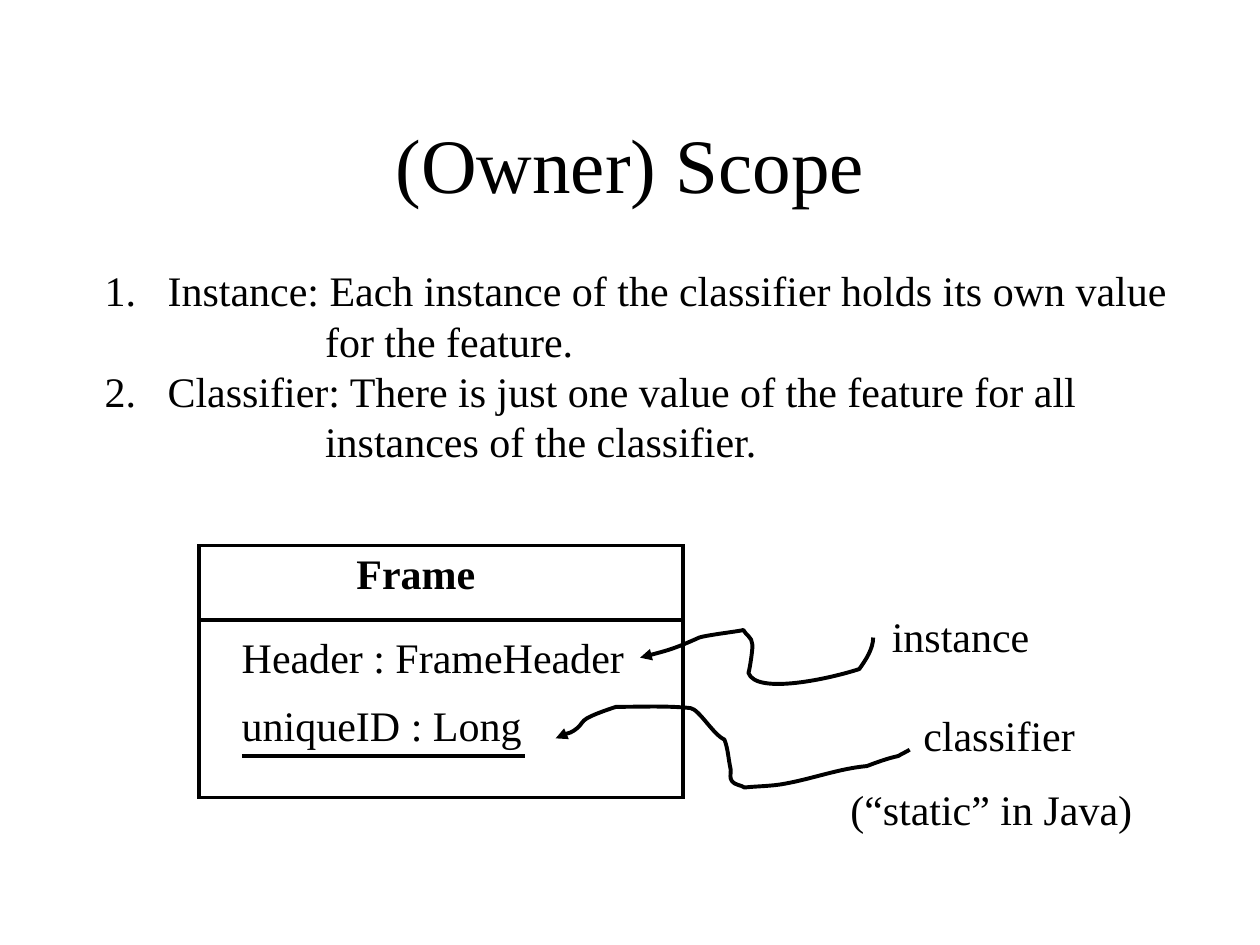
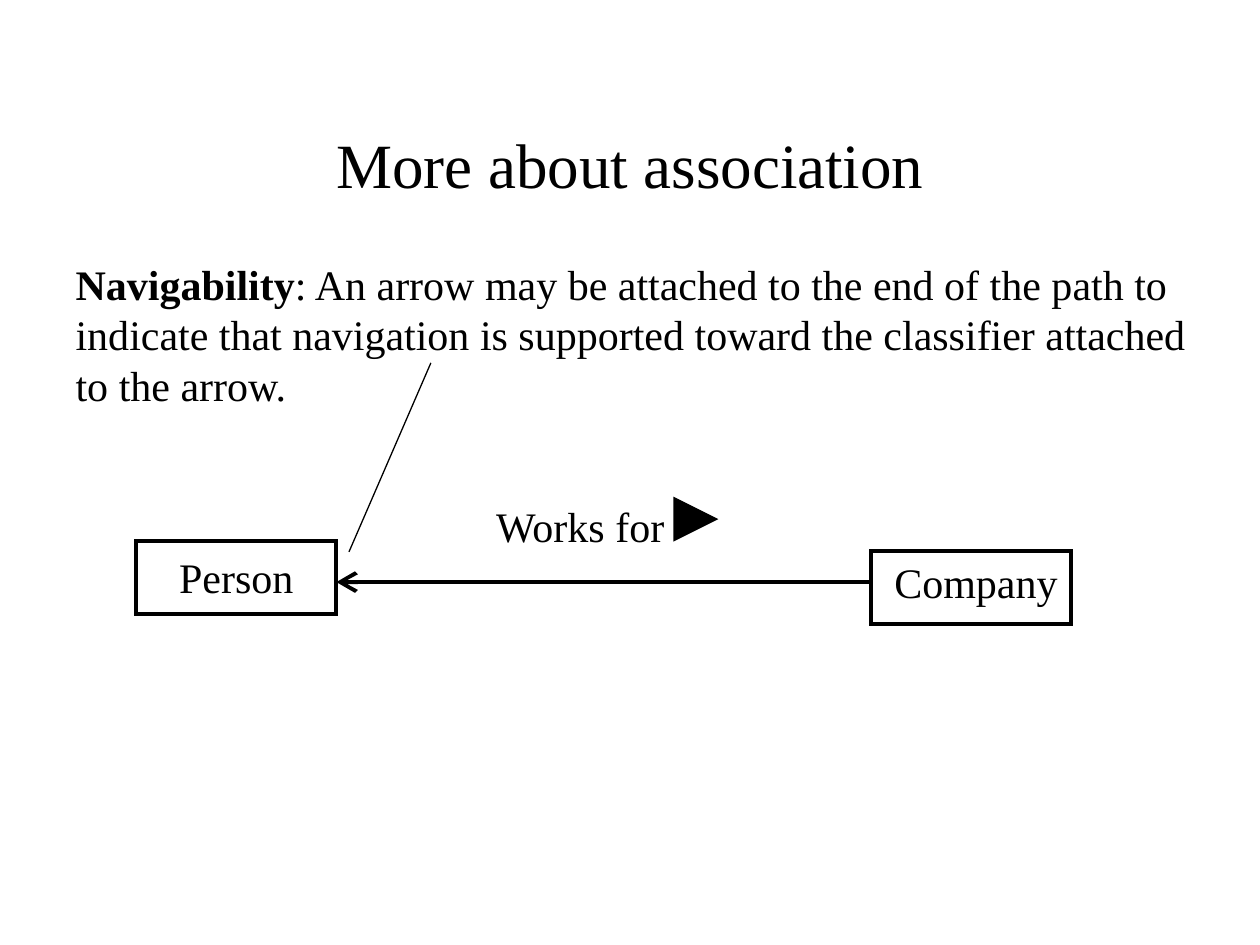
from dataclasses import dataclass
from typing import NamedTuple

from lxml import etree
from pptx import Presentation
from pptx.dml.color import RGBColor
from pptx.enum.shapes import MSO_CONNECTOR, MSO_SHAPE
from pptx.enum.text import MSO_ANCHOR, MSO_AUTO_SIZE, PP_ALIGN
from pptx.oxml.ns import qn
from pptx.util import Pt

PX = 9144  # EMU in one px: 100 px to the inch
BLACK = RGBColor(0, 0, 0)
FONT = "Times New Roman"
SIZE = 24
THICK, THIN = 2.25, 0.75

RECT = MSO_SHAPE.RECTANGLE
WEDGE = MSO_SHAPE.FLOWCHART_EXTRACT
LINE = MSO_CONNECTOR.STRAIGHT
LEFT, CENTER = PP_ALIGN.LEFT, PP_ALIGN.CENTER
TOP, MIDDLE = MSO_ANCHOR.TOP, MSO_ANCHOR.MIDDLE
GROW, FIXED = MSO_AUTO_SIZE.SHAPE_TO_FIT_TEXT, MSO_AUTO_SIZE.NONE

Point = tuple[int, int]


class Box(NamedTuple):
    x: int
    y: int
    w: int
    h: int

    def emu(self) -> list[int]:
        return [n * PX for n in self]


@dataclass
class Item:
    text: str
    lead: str = ""
    left: int = 0
    hang: int = 0
    num: int = 0


@dataclass
class Label:
    text: str
    box: Box
    bold: bool = False


@dataclass
class Rule:
    start: Point
    end: Point
    width: float = THICK
    head: str = ""


@dataclass
class Curve:
    """A chain of cubic pieces: a start, then two controls and an end each."""
    points: list[Point]


TITLE = Box(75, 67, 850, 125)

SCOPES = [
    Item("Instance: Each instance of the classifier holds its own value",
         left=50, hang=-50, num=1),
    Item("for the feature.", left=175),
    Item("Classifier: There is just one value of the feature for all",
         left=50, hang=-50, num=2),
    Item("instances of the classifier.", left=175),
]
FRAME = Box(158, 433, 384, 200)
FRAME_RULES = [Rule((158, 492), (542, 492)), Rule((192, 600), (417, 600))]
FRAME_TEXT = [
    Label("Frame", Box(273, 430, 118, 50), bold=True),
    Label("Header : FrameHeader", Box(182, 496, 327, 50)),
    Label("uniqueID : Long", Box(182, 550, 246, 50)),
    Label("instance", Box(698, 480, 133, 50)),
    Label("classifier", Box(723, 558, 144, 50)),
    Label("(“static” in Java)", Box(665, 617, 248, 50)),
]
POINTERS = [
    Curve([(508, 522), (527, 517), (535, 515), (555, 506),
           (561, 504), (587, 501), (590, 500),
           (592, 504), (597, 506), (597, 511),
           (598, 512), (595, 532), (594, 534),
           (600, 552), (661, 538), (682, 531),
           (687, 524), (693, 515), (693, 506)]),
    Curve([(441, 586), (446, 583), (453, 582), (458, 578),
           (461, 576), (462, 572), (466, 570),
           (473, 566), (489, 561), (489, 561),
           (509, 561), (529, 560), (548, 562),
           (555, 563), (566, 583), (575, 587),
           (578, 595), (578, 602), (580, 611),
           (580, 614), (579, 618), (581, 620),
           (583, 623), (588, 623), (591, 625),
           (600, 624), (613, 624), (623, 622),
           (645, 618), (666, 610), (688, 608),
           (696, 605), (704, 602), (713, 600),
           (716, 598), (719, 597), (722, 595)]),
]

NAVIGATION = [
    Item(": An arrow may be attached to the end of the path to",
         lead="Navigability"),
    Item("indicate that navigation is supported toward the classifier attached"),
    Item("to the arrow."),
]
PERSON = Box(108, 429, 159, 58)
COMPANY = Box(691, 437, 159, 58)
LINK_TEXT = [
    Label("Company", Box(700, 437, 153, 50)),
    Label("Works for", Box(384, 392, 160, 50)),
]
LINK_RULES = [
    Rule((267, 462), (542, 462), head="arrow"),
    Rule((542, 462), (692, 462)),
    Rule((342, 288), (277, 438), THIN),
]
READ_MARK = Box(535, 395, 34, 34)


def write(para, text, *, size=SIZE, bold=False, align=LEFT):
    para.alignment = align
    para.space_before = para.space_after = Pt(0)
    para.line_spacing = 1.0
    run = para.add_run()
    run.text = text
    font = run.font
    font.name, font.size, font.bold = FONT, Pt(size), bold
    font.color.rgb = BLACK


def set_frame(frame, *, anchor=TOP, wrap=False, fit=GROW):
    frame.word_wrap = wrap
    frame.auto_size = fit
    frame.vertical_anchor = anchor


def place(shape, box: Box):
    shape.left, shape.top, shape.width, shape.height = box.emu()


def set_line(line, width: float, head: str = "", size: str = "med",
             sharp: bool = False):
    line.color.rgb = BLACK
    line.width = Pt(width)
    node = line._get_or_add_ln()
    if sharp:
        etree.SubElement(node, qn("a:miter")).set("lim", "800000")
    if head:
        etree.SubElement(node, qn("a:headEnd"), type=head, w=size, len=size)


def add_slide(deck, title: str, size: int, items: list[Item], box: Box):
    slide = deck.slides.add_slide(deck.slide_layouts[1])
    head, body = slide.placeholders
    place(head, TITLE)
    set_frame(head.text_frame, anchor=MIDDLE, wrap=True, fit=FIXED)
    write(head.text_frame.paragraphs[0], title, size=size, align=CENTER)
    place(body, box)
    frame = body.text_frame
    set_frame(frame)
    for i, item in enumerate(items):
        para = frame.add_paragraph() if i else frame.paragraphs[0]
        if item.lead:
            write(para, item.lead, bold=True)
        write(para, item.text)
        set_list(para, item)
    return slide


def set_list(para, item: Item):
    props = para._p.get_or_add_pPr()
    props.set("marL", str(item.left * PX))
    props.set("indent", str(item.hang * PX))
    if item.num:
        mark = etree.SubElement(props, qn("a:buAutoNum"))
        mark.set("type", "arabicPeriod")
        if item.num > 1:
            mark.set("startAt", str(item.num))
    else:
        etree.SubElement(props, qn("a:buNone"))


def add_label(slide, label: Label):
    frame = slide.shapes.add_textbox(*label.box.emu()).text_frame
    set_frame(frame)
    write(frame.paragraphs[0], label.text, bold=label.bold)


def add_box(slide, box: Box, kind=RECT, width: float = THICK,
            solid: bool = False):
    shape = slide.shapes.add_shape(kind, *box.emu())
    shape.shadow.inherit = False
    if solid:
        shape.fill.solid()
        shape.fill.fore_color.rgb = BLACK
    else:
        shape.fill.background()
    set_line(shape.line, width, sharp=True)
    return shape


def add_rule(slide, rule: Rule):
    ends = [n * PX for n in rule.start + rule.end]
    link = slide.shapes.add_connector(LINE, *ends)
    set_line(link.line, rule.width, rule.head, "lg")
    etree.SubElement(link._element.spPr, qn("a:effectLst"))


def bend(shape):
    """Join each three straight segments into one cubic piece."""
    legs = list(shape._element.iter(qn("a:lnTo")))
    for i in range(0, len(legs), 3):
        piece = etree.Element(qn("a:cubicBezTo"))
        legs[i].addprevious(piece)
        for leg in legs[i:i + 3]:
            piece.append(leg[0])
            leg.getparent().remove(leg)


def add_curve(slide, curve: Curve):
    start, *rest = curve.points
    pen = slide.shapes.build_freeform(*start, scale=PX)
    pen.add_line_segments(rest, close=False)
    shape = pen.convert_to_shape()
    bend(shape)
    shape.shadow.inherit = False
    shape.fill.background()
    set_line(shape.line, THICK, "triangle")


def add_parts(slide, rules: list[Rule], labels: list[Label]):
    for rule in rules:
        add_rule(slide, rule)
    for label in labels:
        add_label(slide, label)


def add_scope(deck):
    slide = add_slide(deck, "(Owner) Scope", 44, SCOPES,
                      Box(73, 205, 870, 170))
    add_box(slide, FRAME)
    add_parts(slide, FRAME_RULES, FRAME_TEXT)
    for curve in POINTERS:
        add_curve(slide, curve)


def add_links(deck):
    slide = add_slide(deck, "More about association", 36, NAVIGATION,
                      Box(50, 200, 908, 130))
    person = add_box(slide, PERSON).text_frame
    set_frame(person, anchor=MIDDLE, fit=FIXED)
    write(person.paragraphs[0], "Person", align=CENTER)
    add_box(slide, COMPANY)
    add_parts(slide, LINK_RULES, LINK_TEXT)
    add_box(slide, READ_MARK, WEDGE, THIN, solid=True).rotation = 90


def main():
    deck = Presentation()
    deck.slide_width, deck.slide_height = 1000 * PX, 750 * PX
    add_scope(deck)
    add_links(deck)
    deck.save("out.pptx")


if __name__ == "__main__":
    main()
